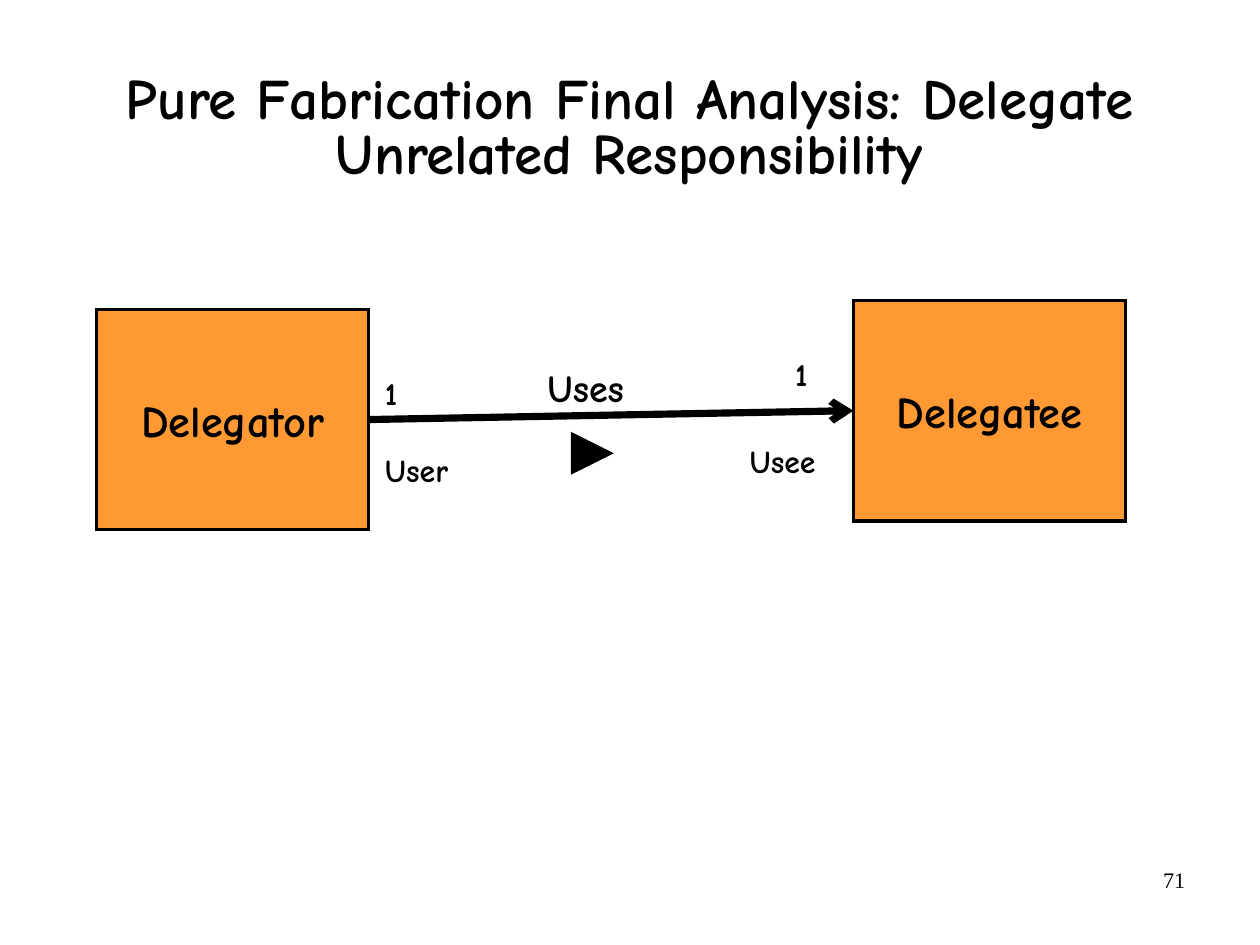
from dataclasses import dataclass

from lxml.etree import SubElement
from pptx import Presentation
from pptx.dml.color import RGBColor
from pptx.enum.shapes import MSO_CONNECTOR, MSO_SHAPE
from pptx.enum.text import MSO_ANCHOR, MSO_AUTO_SIZE, PP_ALIGN
from pptx.oxml.ns import qn
from pptx.util import Pt


@dataclass(frozen=True)
class Theme:
    ink: RGBColor = RGBColor(0, 0, 0)
    paper: RGBColor = RGBColor(0xFF, 0xFF, 0xFF)
    box: RGBColor = RGBColor(0xFF, 0x99, 0x33)
    font: str = "Comic Neue"
    number_font: str = "Times New Roman"
    title: int = 36
    class_name: int = 28
    association: int = 24
    role: int = 20
    number: int = 14
    outline: float = 2
    arrow: float = 4.5


THEME = Theme()
BOX_W, BOX_H = 171.4, 139


def place(sp, left, top, width, height):
    sp.left, sp.top, sp.width, sp.height = map(Pt, (left, top, width, height))


def set_insets(tf, side, end):
    tf.margin_left = tf.margin_right = Pt(side)
    tf.margin_top = tf.margin_bottom = Pt(end)


def add_text(tf, text, size, align, font=THEME.font, bold=True):
    p = tf.paragraphs[0]
    p.alignment = align
    r = p.add_run()
    r.text = text
    r.font.name = font
    r.font.size = Pt(size)
    r.font.bold = bold
    r.font.color.rgb = THEME.ink
    return p


def add_title(s, text):
    sp = s.shapes.title
    place(sp, 21.8, 43.9, 749.5, 77)
    tf = sp.text_frame
    tf.word_wrap = True
    tf.auto_size = MSO_AUTO_SIZE.NONE
    tf.vertical_anchor = MSO_ANCHOR.TOP
    set_insets(tf, 7.2, 3.6)
    p = add_text(tf, text, THEME.title, PP_ALIGN.CENTER)
    p.line_spacing = 0.8
    p.space_before = Pt(0)


def add_outlined(s, kind, left, top, width, height, fill):
    sp = s.shapes.add_shape(kind, Pt(left), Pt(top), Pt(width), Pt(height))
    sp.shadow.inherit = False
    sp.fill.solid()
    sp.fill.fore_color.rgb = fill
    sp.line.color.rgb = THEME.ink
    sp.line.width = Pt(THEME.outline)
    SubElement(sp.line._get_or_add_ln(), qn("a:miter"), lim="800000")
    return sp


def add_class_box(s, name, left, top):
    sp = add_outlined(s, MSO_SHAPE.RECTANGLE, left, top, BOX_W, BOX_H, THEME.box)
    tf = sp.text_frame
    tf.word_wrap = True
    tf.vertical_anchor = MSO_ANCHOR.MIDDLE
    set_insets(tf, 8, 4)
    add_text(tf, name, THEME.class_name, PP_ALIGN.CENTER)
    return sp


def add_arrow(s, start, end):
    line = s.shapes.add_connector(MSO_CONNECTOR.STRAIGHT, 0, 0, 0, 0)
    line.begin_connect(start, 3)
    line.end_connect(end, 1)
    line.line.color.rgb = THEME.ink
    line.line.width = Pt(THEME.arrow)
    SubElement(line.line._get_or_add_ln(), qn("a:tailEnd"), type="arrow")
    SubElement(line._element.spPr, qn("a:effectLst"))


def add_label(s, text, left, top, width, height, size=THEME.role, filled=False):
    sp = s.shapes.add_textbox(Pt(left), Pt(top), Pt(width), Pt(height))
    if filled:
        sp.fill.solid()
        sp.fill.fore_color.rgb = THEME.paper
    tf = sp.text_frame
    tf.word_wrap = False
    tf.auto_size = MSO_AUTO_SIZE.SHAPE_TO_FIT_TEXT
    set_insets(tf, 8, 4)
    add_text(tf, text, size, PP_ALIGN.LEFT)


def add_direction_mark(s, left, top, size):
    sp = add_outlined(s, MSO_SHAPE.ISOSCELES_TRIANGLE, left, top, size, size, THEME.ink)
    sp.rotation = 90


def add_page_number(s, number):
    sp = s.shapes.add_textbox(Pt(568.8), Pt(542), Pt(185), Pt(41))
    tf = sp.text_frame
    tf.word_wrap = True
    set_insets(tf, 7.2, 3.6)
    add_text(tf, number, THEME.number, PP_ALIGN.RIGHT, THEME.number_font, False)


def main():
    prs = Presentation()
    prs.slide_width, prs.slide_height = Pt(793.75), Pt(595.25)
    s = prs.slides.add_slide(prs.slide_layouts[5])
    add_title(s, "Pure Fabrication Final Analysis: Delegate Unrelated Responsibility")
    add_page_number(s, "71")

    delegator = add_class_box(s, "Delegator", 60.9, 194.8)
    delegatee = add_class_box(s, "Delegatee", 537.6, 189.2)
    add_arrow(s, delegator, delegatee)

    add_label(s, "Uses", 336.8, 225.4, 70.6, 37.4, THEME.association)
    add_label(s, "User", 234.5, 280, 61.2, 31.7, filled=True)
    add_label(s, "Usee", 464.2, 274.3, 62.6, 31.7, filled=True)
    add_label(s, "1", 234.5, 231.6, 28, 31.7)
    add_label(s, "1", 493, 219.6, 28, 31.7, filled=True)
    add_direction_mark(s, 360.7, 273.6, 23.8)

    prs.save("out.pptx")


if __name__ == "__main__":
    main()
